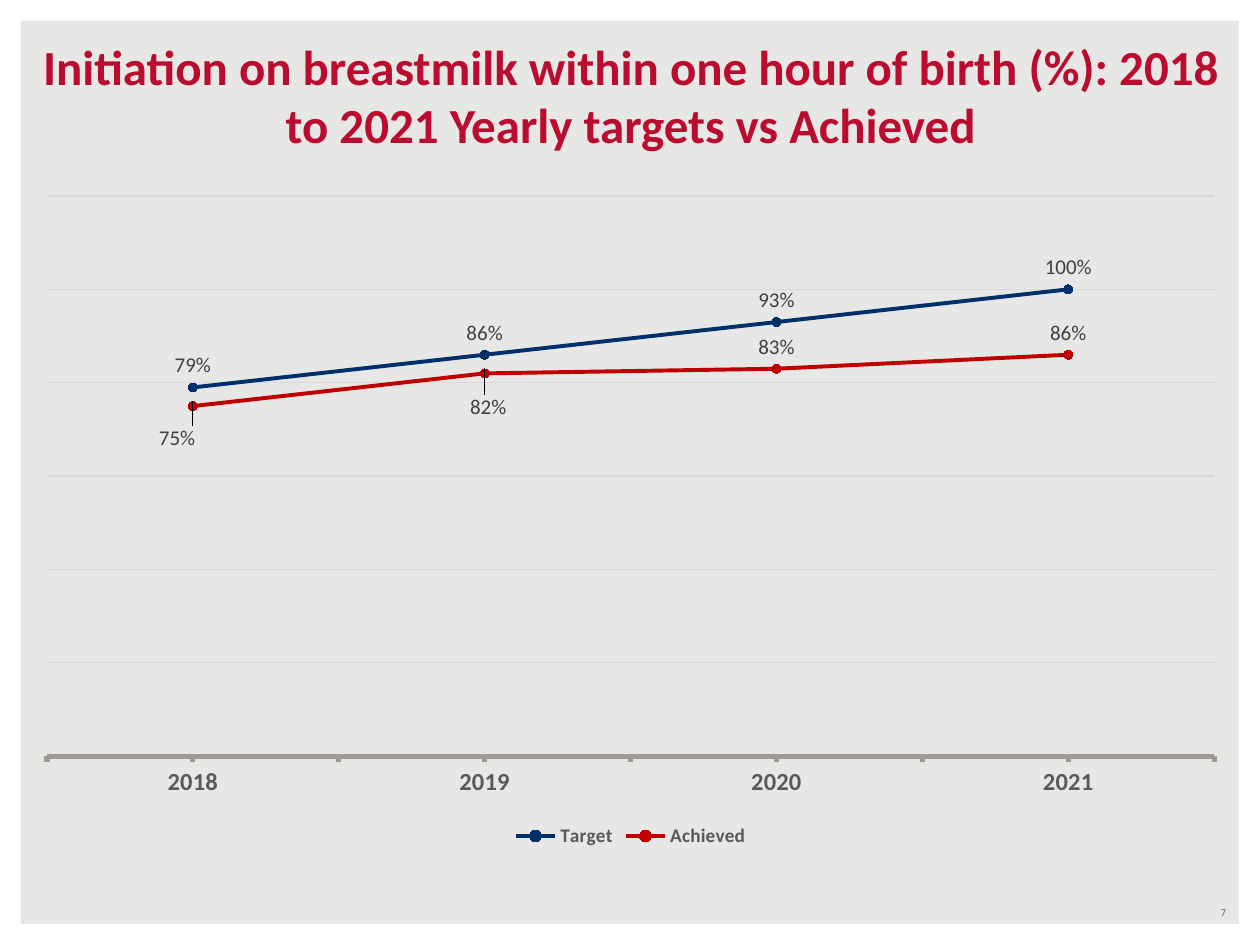
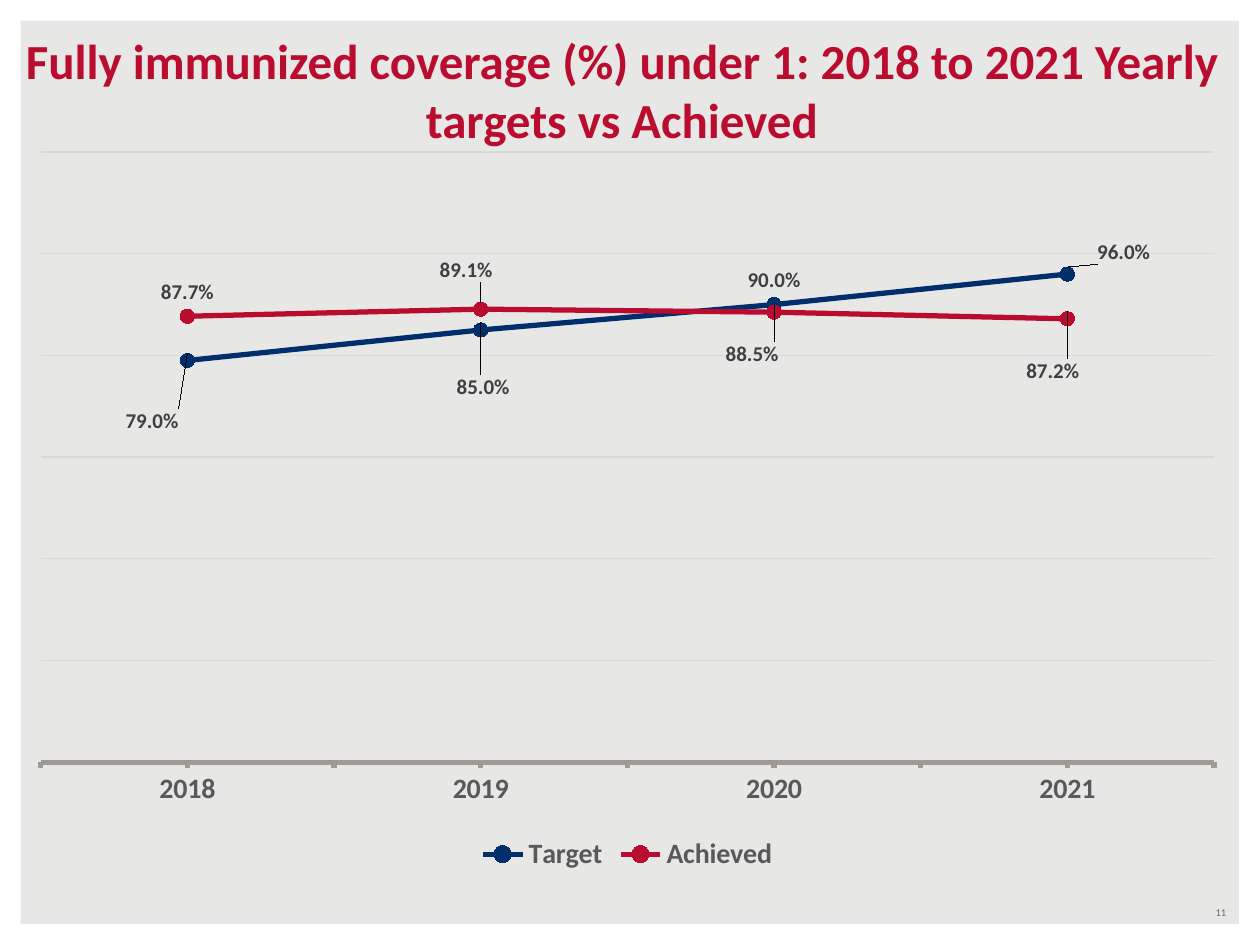
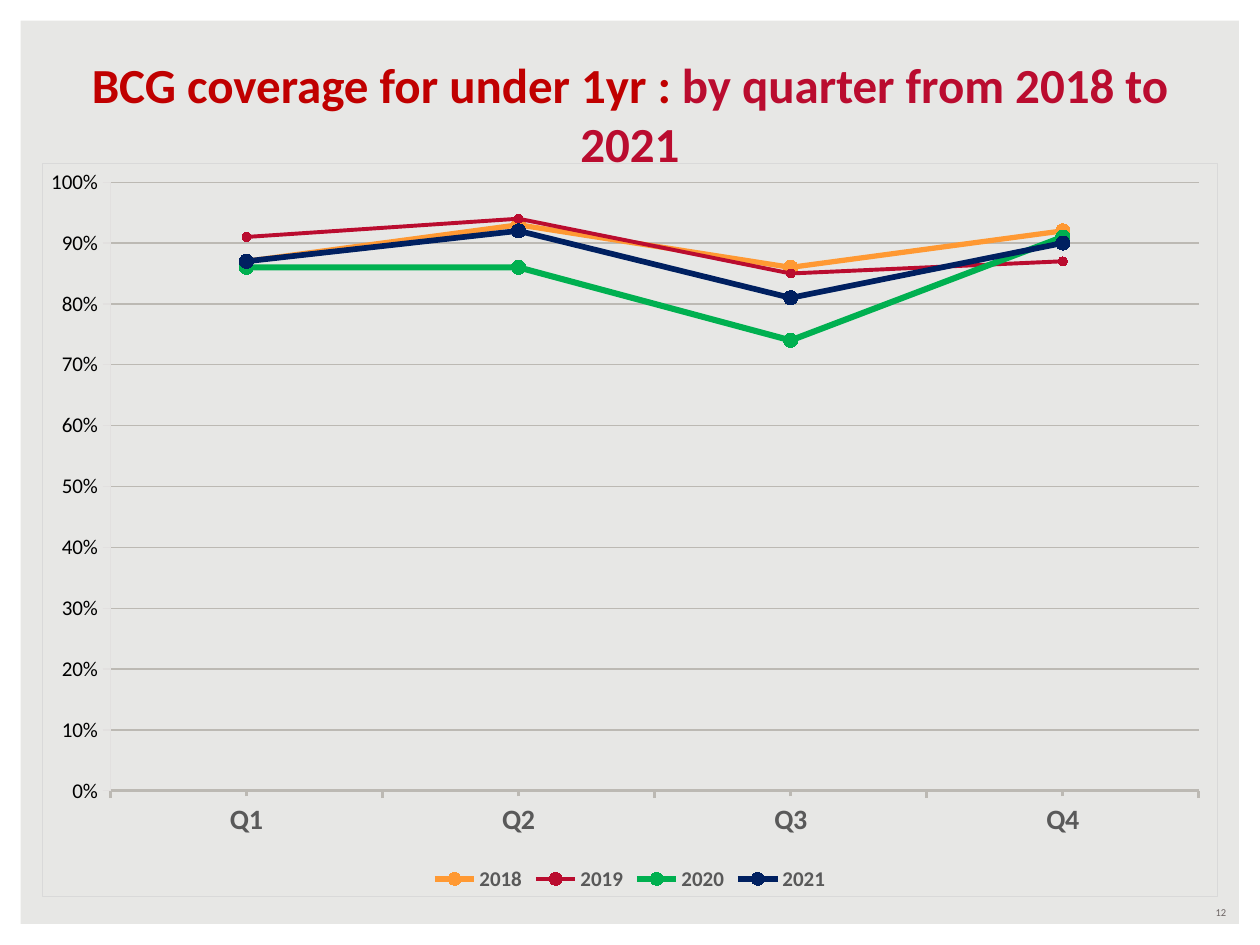
from lxml.etree import SubElement
from pptx import Presentation
from pptx.chart.data import CategoryChartData
from pptx.dml.color import RGBColor
from pptx.enum.chart import (XL_CHART_TYPE, XL_LABEL_POSITION, XL_LEGEND_POSITION,
                             XL_MARKER_STYLE, XL_TICK_MARK)
from pptx.enum.shapes import MSO_SHAPE
from pptx.enum.text import MSO_ANCHOR, MSO_AUTO_SIZE, PP_ALIGN
from pptx.oxml import parse_xml
from pptx.oxml.ns import nsdecls, qn
from pptx.util import Inches, Pt

FONT = "Calibri"
PAPER = RGBColor(0xE7, 0xE7, 0xE5)
WHITE = RGBColor(0xFF, 0xFF, 0xFF)
BLACK = RGBColor(0x00, 0x00, 0x00)
CRIMSON = RGBColor(0xBA, 0x0C, 0x2F)
RED = RGBColor(0xC0, 0x00, 0x00)
BLUE = RGBColor(0x00, 0x2F, 0x6C)
NAVY = RGBColor(0x00, 0x20, 0x60)
ORANGE = RGBColor(0xFF, 0x99, 0x33)
GREEN = RGBColor(0x00, 0xB0, 0x50)
NUMBER_GREY = RGBColor(0x6C, 0x64, 0x63)
AXIS_TEXT = RGBColor(0x59, 0x59, 0x59)
LABEL_TEXT = RGBColor(0x40, 0x40, 0x40)
AXIS_LINE = RGBColor(0x9F, 0x9B, 0x93)
PALE_GRID = RGBColor(0xD9, 0xD9, 0xD9)
WARM_GRID = RGBColor(0xBC, 0xB9, 0xB3)
VALUE_LINE = RGBColor(0xE2, 0xE0, 0xDF)

W, H = Inches(10), Inches(7.5)
YEARS = ("2018", "2019", "2020", "2021")
QUARTERS = ("Q1", "Q2", "Q3", "Q4")


def box(x, y, w, h):
    """Turn percentages of the slide into left, top, width, height."""
    return int(W * x / 100), int(H * y / 100), int(W * w / 100), int(H * h / 100)


def set_font(font, size, color, bold=False):
    font.name, font.size, font.bold = FONT, Pt(size), bold
    font.color.rgb = color


def set_line(line, color, width):
    line.color.rgb = color
    line.width = Pt(width)


# Parts shared by all slides
def add_page(prs, number):
    s = prs.slides.add_slide(prs.slide_layouts[5])
    s.background.fill.solid()
    s.background.fill.fore_color.rgb = PAPER
    frame = s.shapes.add_shape(MSO_SHAPE.FRAME, 0, 0, W, H)
    frame.adjustments[0] = 0.022
    frame.shadow.inherit = False
    frame.fill.solid()
    frame.fill.fore_color.rgb = WHITE
    frame.line.fill.background()

    tf = s.shapes.add_textbox(*box(75, 95.2, 23.3, 2.67)).text_frame
    tf.word_wrap = True
    tf.vertical_anchor = MSO_ANCHOR.MIDDLE
    p = tf.paragraphs[0]
    p.text = number
    p.alignment = PP_ALIGN.RIGHT
    set_font(p.font, 6, NUMBER_GREY)
    return s


def set_title(s, place, *parts):
    """Each part is a (text, colour) pair."""
    title = s.shapes.title
    title.left, title.top, title.width, title.height = box(*place)
    tf = title.text_frame
    tf.word_wrap, tf.auto_size = True, MSO_AUTO_SIZE.NONE
    tf.vertical_anchor = MSO_ANCHOR.BOTTOM
    tf.margin_top, tf.margin_bottom = 0, Inches(0.02)
    p = tf.paragraphs[0]
    p.alignment = PP_ALIGN.CENTER
    for text, color in parts:
        r = p.add_run()
        r.text = text
        set_font(r.font, 28, color, True)


# Chart pieces
def add_layout(parent, after, inner=False, **shares):
    """Place a chart part by percentages of the chart."""
    layout = parent.find(qn("c:layout"))
    if layout is None:
        layout = parse_xml(f"<c:layout {nsdecls('c')}/>")
        if after is None:
            parent.insert(0, layout)
        else:
            after.addnext(layout)
    manual = SubElement(layout, qn("c:manualLayout"))
    if inner:
        SubElement(manual, qn("c:layoutTarget"), val="inner")
        for mode in ("xMode", "yMode"):
            SubElement(manual, qn(f"c:{mode}"), val="edge")
    for key, share in shares.items():
        SubElement(manual, qn(f"c:{key}"), val=str(share / 100))


def clear_background(chart, border=None):
    line = (f'<a:ln w="9525"><a:solidFill><a:srgbClr val="{border}"/></a:solidFill></a:ln>'
            if border else "<a:ln><a:noFill/></a:ln>")
    chart.element.find(qn("c:chart")).addnext(parse_xml(
        f"<c:spPr {nsdecls('c', 'a')}><a:noFill/>{line}</c:spPr>"))
    chart.element.xpath("c:chart/c:plotArea")[0].append(parse_xml(
        f"<c:spPr {nsdecls('c', 'a')}><a:noFill/></c:spPr>"))


def add_line_chart(s, place, plot, cats, series, fmt, grid, axis_line,
                   top, step, cat_size, legend_size, border=None):
    """Each series is (name, values, colour, line width, marker size)."""
    data = CategoryChartData(number_format=fmt)
    data.categories = cats
    for name, values, *_ in series:
        data.add_series(name, values)
    chart = s.shapes.add_chart(XL_CHART_TYPE.LINE_MARKERS, *box(*place), data).chart
    chart.has_title = False
    set_font(chart.font, 10, BLACK)
    clear_background(chart, border)
    add_layout(chart.element.xpath("c:chart/c:plotArea")[0], None, True,
               **dict(zip("xywh", plot)))

    chart.has_legend = True
    chart.legend.position = XL_LEGEND_POSITION.BOTTOM
    chart.legend.include_in_layout = False
    set_font(chart.legend.font, legend_size, AXIS_TEXT, True)

    cat = chart.category_axis
    cat.major_tick_mark = XL_TICK_MARK.NONE
    cat.minor_tick_mark = XL_TICK_MARK.OUTSIDE
    set_font(cat.tick_labels.font, cat_size, AXIS_TEXT, True)
    set_line(cat.format.line, *axis_line)

    val = chart.value_axis
    val.minimum_scale, val.maximum_scale, val.major_unit = 0, top, step
    val.has_major_gridlines = True
    set_line(val.major_gridlines.format.line, grid, 0.75)
    val.tick_labels.number_format = fmt
    val.tick_labels.number_format_is_linked = False

    chart.plots[0].vary_by_categories = False
    for ser, (_, _, color, width, size) in zip(chart.plots[0].series, series):
        ser.smooth = False
        set_line(ser.format.line, color, width)
        ser.marker.style, ser.marker.size = XL_MARKER_STYLE.CIRCLE, size
        ser.marker.format.fill.solid()
        ser.marker.format.fill.fore_color.rgb = color
        set_line(ser.marker.format.line, color, 0.75)
    return chart


def label_series(ser, fmt, bold, shifts):
    """Label points above; shifts maps a point to its (x, y) move in percent."""
    labels = ser.data_labels
    labels.show_value = True
    labels.number_format, labels.number_format_is_linked = fmt, False
    labels.position = XL_LABEL_POSITION.ABOVE
    set_font(labels.font, 12, LABEL_TEXT, bold)
    for i, (x, y) in shifts.items():
        label = ser.points[i].data_label
        label.position = XL_LABEL_POSITION.ABOVE
        set_font(label.font, 12, LABEL_TEXT, bold)
        idx = ser._element.xpath(f'c:dLbls/c:dLbl/c:idx[@val="{i}"]')[0]
        add_layout(idx.getparent(), idx, x=x, y=y)


def add_target_chart(s, place, plot, series, fmt, cat_size, legend_size, bold, shifts):
    chart = add_line_chart(s, place, plot, YEARS, series, fmt, PALE_GRID, (AXIS_LINE, 3),
                           1.2, 0.2, cat_size, legend_size)
    chart.value_axis.visible = False
    for ser, moves in zip(chart.plots[0].series, shifts):
        label_series(ser, fmt, bold, moves)


def add_quarter_chart(s, place, plot, series):
    chart = add_line_chart(s, place, plot, QUARTERS, series, "0%", WARM_GRID,
                           (WARM_GRID, 1.75), 1, 0.1, 16, 12, PALE_GRID)
    chart.category_axis.major_tick_mark = XL_TICK_MARK.OUTSIDE
    val = chart.value_axis
    val.major_tick_mark = XL_TICK_MARK.OUTSIDE
    set_font(val.tick_labels.font, 12, BLACK)
    set_line(val.format.line, VALUE_LINE, 0.75)


def main():
    prs = Presentation()
    prs.slide_width, prs.slide_height = W, H

    # Breastmilk initiation
    s = add_page(prs, "7")
    set_title(s, (1.8, 2.67, 96.5, 13.87),
              ("Initiation on breastmilk within one hour of birth (%): "
               "2018 to 2021 Yearly targets vs Achieved", CRIMSON))
    add_target_chart(
        s, (1.8, 19.33, 96.5, 70.93), (2, 2, 96, 83.6),
        [("Target", (0.79, 0.86, 0.93, 1), BLUE, 2.25, 5),
         ("Achieved", (0.75, 0.82, 0.83, 0.86), RED, 2.25, 5)],
        "0%", 14, 11, False, [{}, {0: (-1.3, 8), 1: (0.3, 8.3)}])

    # Full immunization
    s = add_page(prs, "11")
    set_title(s, (0, 2.13, 98.7, 13.87),
              ("Fully immunized coverage (%) under 1: "
               "2018 to 2021 Yearly targets vs Achieved", CRIMSON))
    add_target_chart(
        s, (1.3, 14.53, 97, 78.27), (2, 2, 96, 82.5),
        [("Target", (0.79, 0.85, 0.9, 0.96), BLUE, 3, 8),
         ("Achieved", (0.877, 0.891, 0.885, 0.872), CRIMSON, 3, 8)],
        "0.0%", 16, 16, True,
        [{0: (-2.9, 11.5), 1: (0.2, 11), 3: (4.6, 0.3)},
         {1: (-1.2, -2), 2: (-1.8, 9), 3: (-1.2, 10.4)}])

    # BCG by quarter
    s = add_page(prs, "12")
    set_title(s, (3.3, 4.67, 93.4, 13.87),
              ("BCG coverage for under 1yr : ", RED),
              ("by quarter from 2018 to 2021", CRIMSON))
    add_quarter_chart(
        s, (3.3, 17.2, 93.4, 77.73), (5.8, 2.6, 92.6, 83),
        [("2018", (0.87, 0.93, 0.86, 0.92), ORANGE, 3, 8),
         ("2019", (0.91, 0.94, 0.85, 0.87), CRIMSON, 2.25, 5),
         ("2020", (0.86, 0.86, 0.74, 0.91), GREEN, 3.5, 8),
         ("2021", (0.87, 0.92, 0.81, 0.9), NAVY, 3.25, 8)])

    prs.save("out.pptx")


if __name__ == "__main__":
    main()
